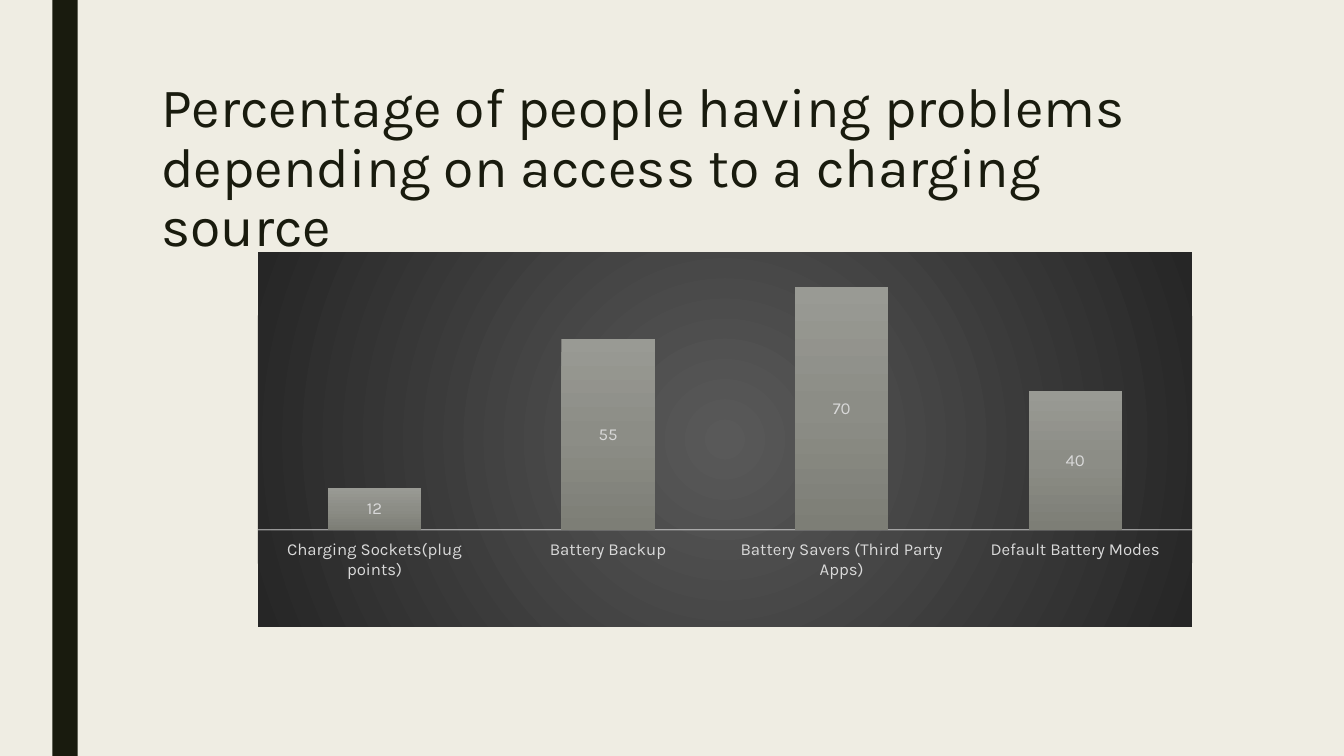
from lxml import etree
from pptx import Presentation
from pptx.chart.data import CategoryChartData
from pptx.dml.color import RGBColor
from pptx.enum.chart import XL_CHART_TYPE as ChartType, XL_TICK_LABEL_POSITION as TickLabels
from pptx.enum.chart import XL_LABEL_POSITION as LabelPos, XL_TICK_MARK as TickMark
from pptx.enum.shapes import MSO_SHAPE
from pptx.oxml import parse_xml
from pptx.oxml.ns import nsdecls, qn
from pptx.util import Pt

PX = 9144  # 100 px to the inch
FONT = "Karla"
INK, PAPER, LABEL = "191B0E", "EFEDE3", "D9D9D9"


def rgb(color):
    return RGBColor.from_string(color)


def gradient(colors, direction):
    """Gradient fill with evenly spaced stops; direction is its a:lin or a:path element."""
    step = 100000 // (len(colors) - 1)
    stops = "".join(f'<a:gs pos="{i * step}"><a:srgbClr val="{c}"/></a:gs>'
                    for i, c in enumerate(colors))
    return parse_xml(f'<a:gradFill {nsdecls("a")} rotWithShape="1">'
                     f'<a:gsLst>{stops}</a:gsLst>{direction}</a:gradFill>')


prs = Presentation()
prs.slide_width, prs.slide_height = 1333 * PX, 750 * PX
s = prs.slides.add_slide(prs.slide_layouts[6])
s.background.fill.solid()
s.background.fill.fore_color.rgb = rgb(PAPER)

# Side bar
bar = s.shapes.add_shape(MSO_SHAPE.RECTANGLE, 52 * PX, 0, 25 * PX, 750 * PX)
bar.shadow.inherit = False
bar.fill.solid()
bar.fill.fore_color.rgb = rgb(INK)
bar.line.fill.background()

# Title
title = s.shapes.add_textbox(150 * PX, 75 * PX, 1050 * PX, 162 * PX)
tf = title.text_frame
tf.word_wrap = True
p = tf.paragraphs[0]
p.text = "Percentage of people having problems depending on access to a charging source"
p.line_spacing = 0.89
font = p.runs[0].font
font.name, font.size, font.color.rgb = FONT, Pt(39.6), rgb(INK)

# Chart
data = CategoryChartData()
data.categories = ["Charging Sockets(plug points)", "Battery Backup",
                   "Battery Savers (Third Party Apps)", "Default Battery Modes"]
data.add_series("Series 1", [12, 55, 70, 40])
data.add_series("Series 2", [None] * 4)
data.add_series("Series 3", [None] * 4)
chart = s.shapes.add_chart(ChartType.COLUMN_STACKED, 255 * PX, 250 * PX,
                           928 * PX, 372 * PX, data).chart
chart.has_legend = chart.has_title = False
chart.font.name, chart.font.size = FONT, Pt(10)

plot = chart.plots[0]
plot.gap_width, plot.overlap, plot.vary_by_categories = 150, 100, False
series_colors = [("999A94", "8C8D86", "7D7E76"),
                 ("EAC87E", "ECC263", "D9B051"),
                 ("978B76", "8B7C5F", "7D6E53")]
label_fonts = [chart.category_axis.tick_labels.font]
for series, colors in zip(plot.series, series_colors):
    series.format.fill.background()
    sp_pr = series.format.fill._xPr
    sp_pr.replace(sp_pr.find(qn("a:noFill")),
                  gradient(colors, '<a:lin ang="5400000" scaled="0"/>'))
    labels = series.data_labels
    labels.show_value = True
    labels.position = LabelPos.CENTER
    label_fonts.append(labels.font)
for font in label_fonts:
    font.name, font.size, font.color.rgb = FONT, Pt(12), rgb(LABEL)

axis = chart.category_axis
axis.major_tick_mark = axis.minor_tick_mark = TickMark.NONE
axis.tick_label_position = TickLabels.LOW
axis.format.line.width = Pt(1)
axis.format.line.color.rgb = rgb("F2F2F2")
axis_color = axis.format.line._ln.find(".//" + qn("a:srgbClr"))
etree.SubElement(axis_color, qn("a:alpha")).set("val", "54000")

values = chart.value_axis
values.minimum_scale, values.maximum_scale = 0, 80
values.has_major_gridlines = False
values.visible = False

# Inner plot area: full width, upper 74.1 % of the chart
plot_area = chart._chartSpace.chart.plotArea
for old in plot_area.findall(qn("c:layout")):
    plot_area.remove(old)
plot_area.insert(0, parse_xml(
    f'<c:layout {nsdecls("c")}><c:manualLayout><c:layoutTarget val="inner"/>'
    '<c:xMode val="edge"/><c:yMode val="edge"/><c:x val="0"/><c:y val="0"/>'
    '<c:w val="1"/><c:h val="0.741"/></c:manualLayout></c:layout>'))

# Chart background: radial gradient from the centre
area = parse_xml(f'<c:spPr {nsdecls("c", "a")}><a:ln><a:noFill/></a:ln></c:spPr>')
area.insert(0, gradient(("595959", "262626"),
                        '<a:path path="circle"><a:fillToRect l="50000" t="50000" '
                        'r="50000" b="50000"/></a:path>'))
chart._chartSpace.chart.addnext(area)

prs.save("out.pptx")
